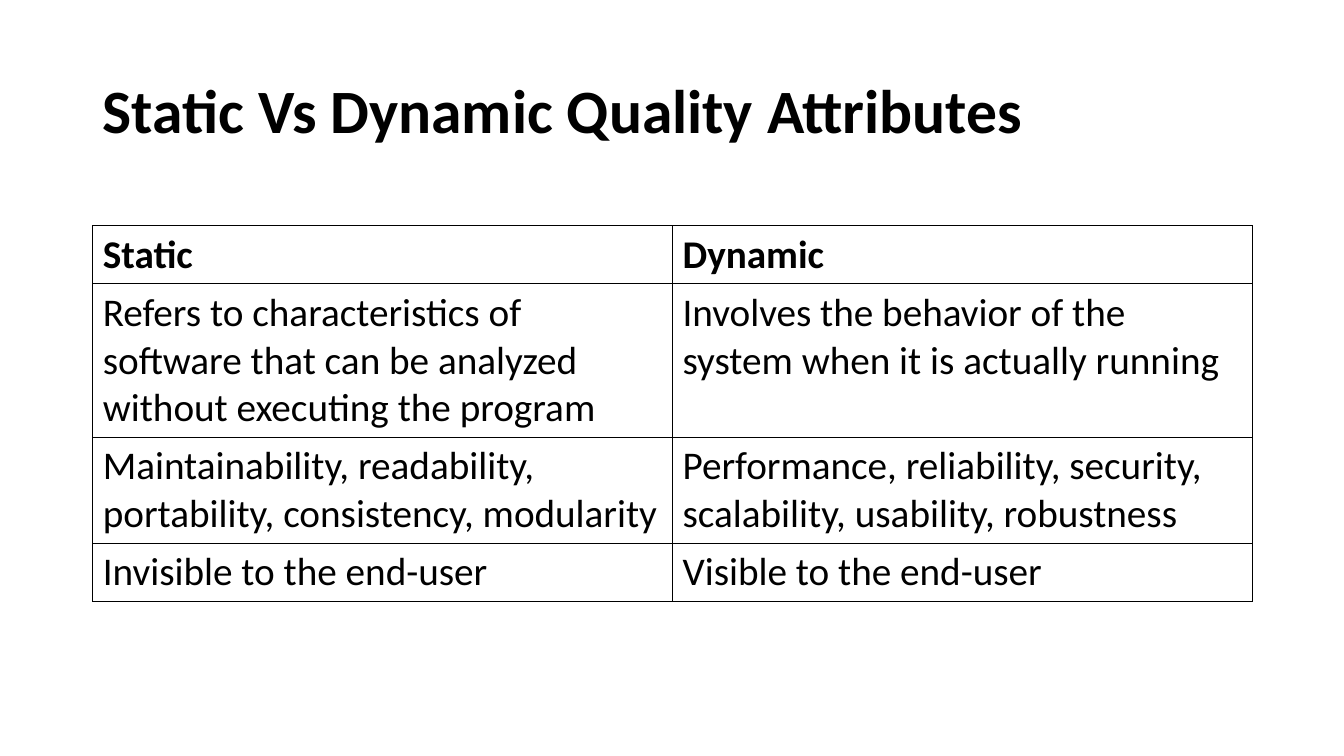
import pptx
import pptx.util
import pptx.dml.color
import pptx.enum.text
import pptx.oxml
import pptx.oxml.ns

WIDTH, HEIGHT = 13.33, 7.5
LEFT, CONTENT_WIDTH = 0.92, 11.5
ROW_HEIGHT, TABLE_HEIGHT = 0.41, 3.67
FONT, BLACK = "Calibri", "000000"

COMPARISON = [
    ("Static", "Dynamic"),
    ("Refers to characteristics of software that can be analyzed without executing the program",
     "Involves the behavior of the system when it is actually running"),
    ("Maintainability, readability, portability, consistency, modularity",
     "Performance, reliability, security, scalability, usability, robustness"),
    ("Invisible to the end-user", "Visible to the end-user"),
]


def inches(*lengths):
    return [pptx.util.Inches(length) for length in lengths]


def color(hex_value):
    return pptx.dml.color.RGBColor.from_string(hex_value)


def write(frame, text, size=28, bold=False, spacing=None):
    para = frame.paragraphs[0]
    para.line_spacing = spacing
    span = para.add_run()
    span.text = text
    span.font.name = FONT
    span.font.size = pptx.util.Pt(size)
    span.font.bold = bold
    span.font.color.rgb = color(BLACK)


def add_title(page, text):
    box = page.shapes.title
    box.left, box.top, box.width, box.height = inches(LEFT, 0.4, CONTENT_WIDTH, 1.45)
    frame = box.text_frame
    frame.word_wrap = True
    frame.vertical_anchor = pptx.enum.text.MSO_ANCHOR.MIDDLE
    write(frame, text, size=44, bold=True, spacing=0.9)
    frame.paragraphs[0].alignment = pptx.enum.text.PP_ALIGN.LEFT


def outline_cell(cell, hex_value, points=1):
    properties = cell._tc.get_or_add_tcPr()
    # Borders must precede the fill in the cell properties
    for position, side in enumerate(("lnL", "lnR", "lnT", "lnB")):
        properties.insert(position, pptx.oxml.parse_xml(
            f'<a:{side} {pptx.oxml.ns.nsdecls("a")} w="{pptx.util.Pt(points)}">'
            f'<a:solidFill><a:srgbClr val="{hex_value}"/></a:solidFill></a:{side}>'))


def add_comparison_table(page, rows):
    holder = page.shapes.add_table(
        len(rows), len(rows[0]),
        *inches(LEFT, 2.24, CONTENT_WIDTH, ROW_HEIGHT * len(rows)))
    holder.height = pptx.util.Inches(TABLE_HEIGHT)
    table = holder.table
    table.first_row = table.horz_banding = False
    for row_index, texts in enumerate(rows):
        for column_index, text in enumerate(texts):
            cell = table.cell(row_index, column_index)
            cell.fill.background()
            outline_cell(cell, BLACK)
            write(cell.text_frame, text, bold=row_index == 0)


def main():
    deck = pptx.Presentation()
    deck.slide_width, deck.slide_height = inches(WIDTH, HEIGHT)
    page = deck.slides.add_slide(deck.slide_layouts[5])  # title only
    page.background.fill.solid()
    page.background.fill.fore_color.rgb = color("FFFFFF")

    # Heading and comparison
    add_title(page, "Static Vs Dynamic Quality Attributes")
    add_comparison_table(page, COMPARISON)
    deck.save("out.pptx")


if __name__ == "__main__":
    main()
